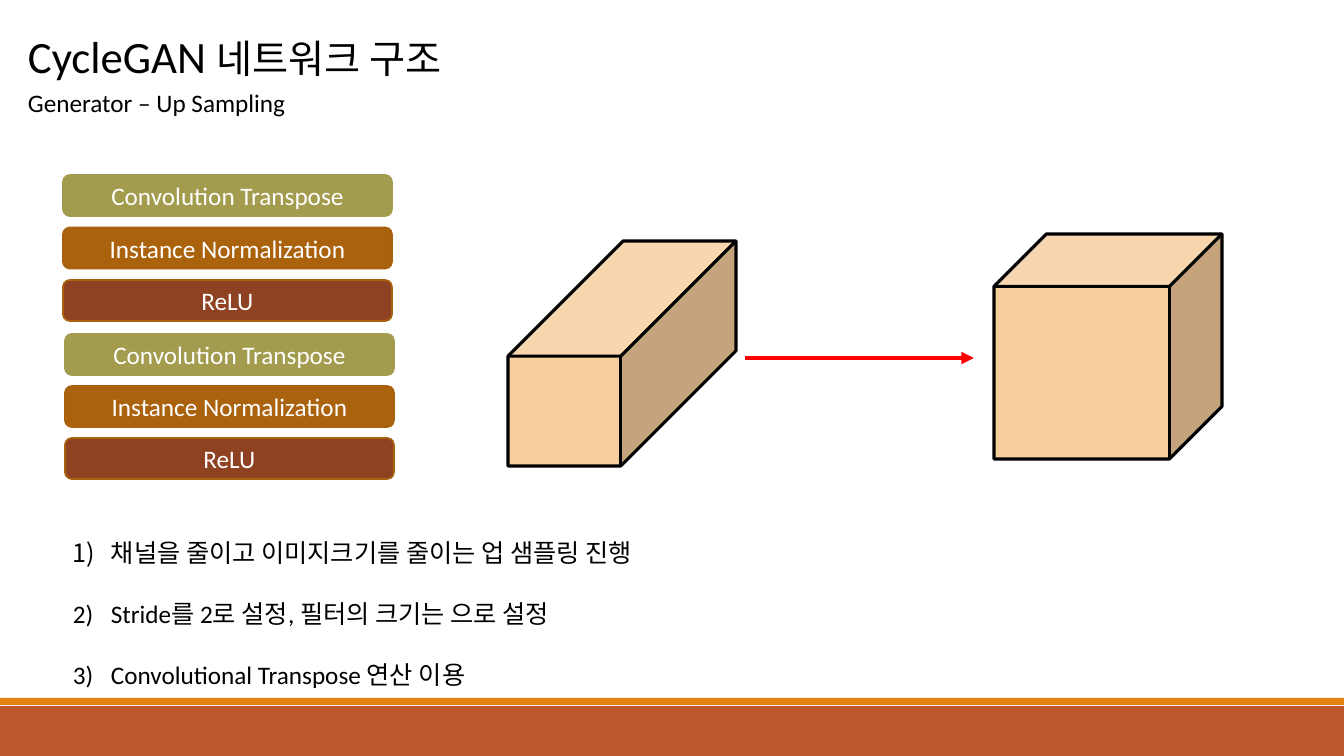
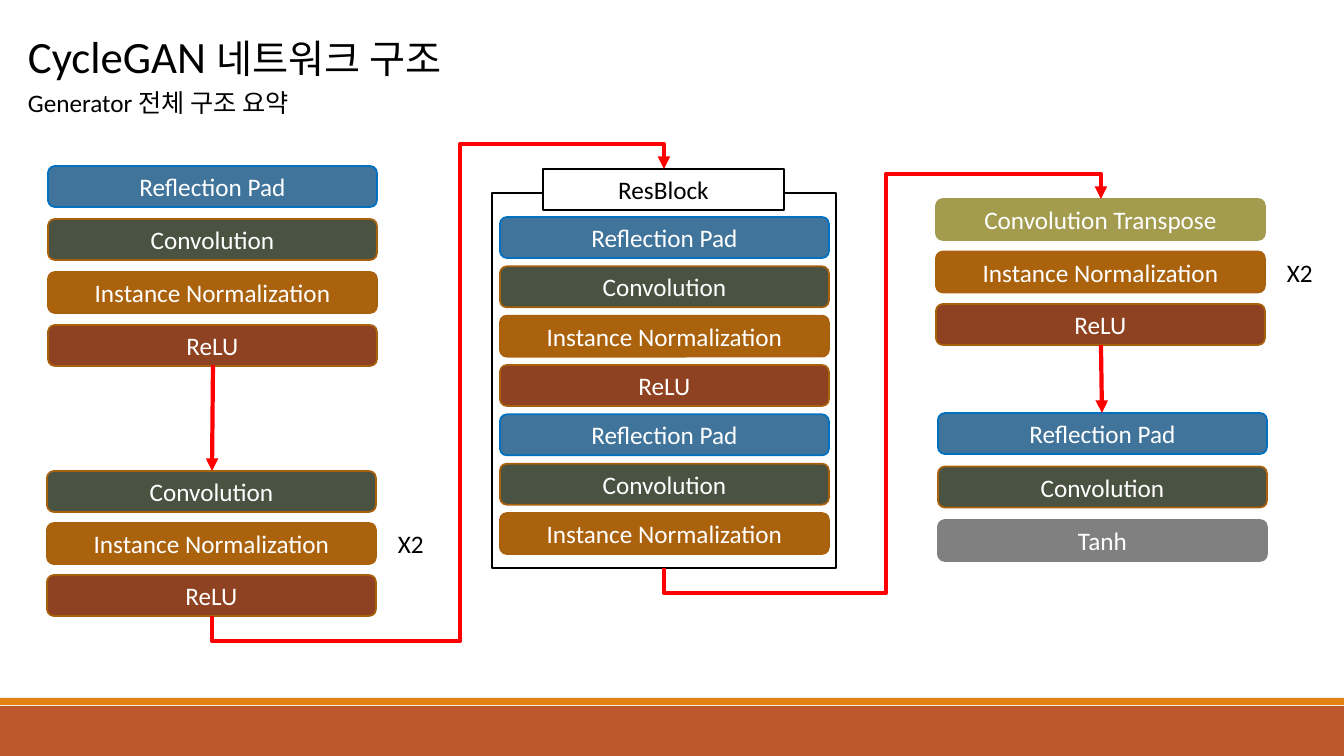
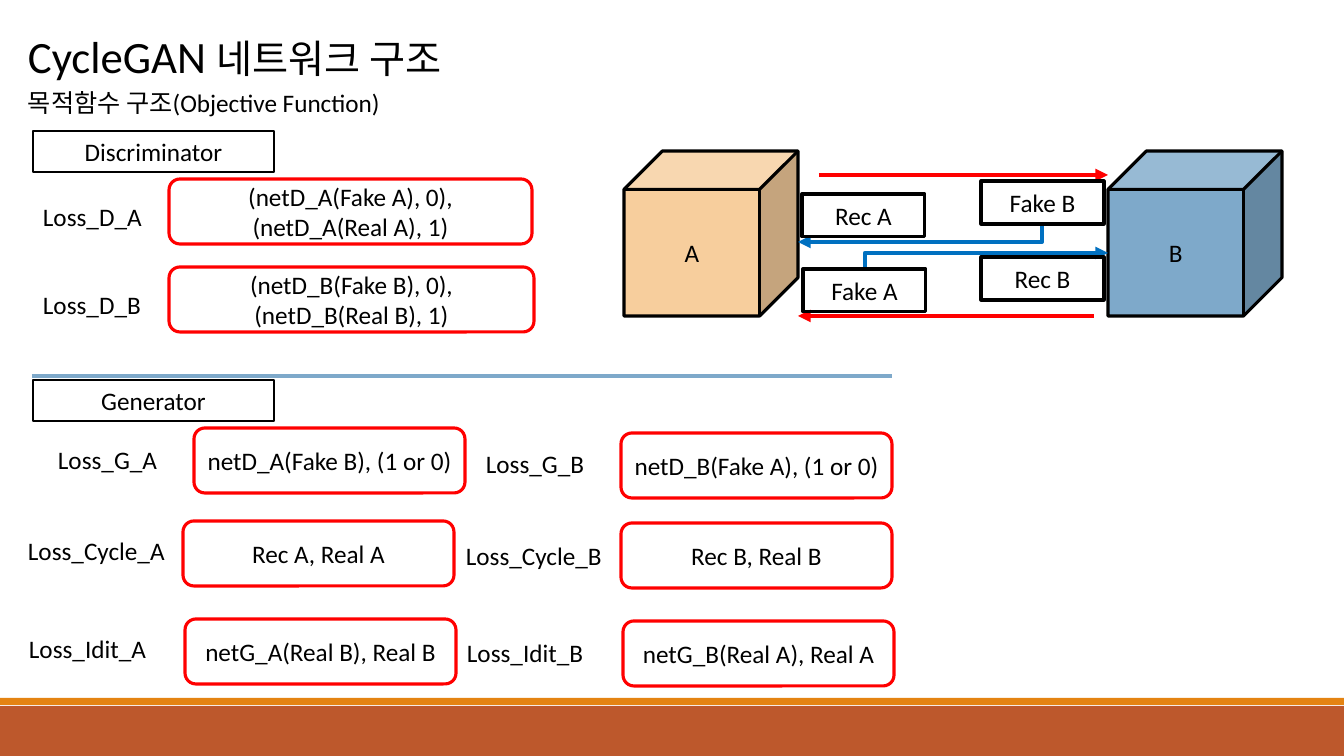
from dataclasses import dataclass

from pptx import Presentation
from pptx.dml.color import RGBColor as RGB
from pptx.enum.shapes import MSO_CONNECTOR as CONN, MSO_SHAPE as SHAPE
from pptx.enum.text import MSO_ANCHOR as ANCHOR, PP_ALIGN as ALIGN
from pptx.oxml.ns import qn
from pptx.oxml.xmlchemy import OxmlElement as Tag
from pptx.util import Emu, Pt


@dataclass(frozen=True)
class Theme:
    font: str = "Calibri"
    head: int = 32
    head_ko: int = 28
    body: int = 18
    black: str = "000000"
    white: str = "FFFFFF"
    band: str = "BD582C"
    stripe: str = "E48312"
    red: str = "FF0000"
    blue: str = "0070C0"
    sand: str = "F7CE9D"
    sky: str = "7EA9CA"
    thin: float = 1.25
    frame: float = 1.5
    bold: float = 2.25
    arrow: float = 3


T = Theme()
WIDE, HIGH = 1344, 756

# Layer kinds: name, fill, outline
UP = ("Convolution Transpose", "A39B4E", "A39B4E")
NORM = ("Instance Normalization", "AB620D", "A9610D")
RELU = ("ReLU", "8E4221", "A9610D")
CONV = ("Convolution", "4A5242", "A9610D")
PAD = ("Reflection Pad", "40749B", "0070C0")
TANH = ("Tanh", "808080", "808080")

# Shared heading and the subtitle of each slide
HEAD = [("CycleGAN ", T.head), ("네트워크 구조", T.head_ko)]
SUBS = ["Generator – Up Sampling", "Generator 전체 구조 요약",
        "목적함수 구조(Objective Function)"]

NOTES = ["채널을 줄이고 이미지크기를 줄이는 업 샘플링 진행",
         "Stride를 2로 설정, 필터의 크기는 으로 설정",
         "Convolutional Transpose 연산 이용"]

# Stacks: left, first top, last top, layers
UP_STACKS = [(63, 175, 280, [UP, NORM, RELU]),
             (65, 334, 438, [UP, NORM, RELU])]
NET_STACKS = [(48, 166, 325, [PAD, CONV, NORM, RELU]),
              (47, 471, 575, [CONV, NORM, RELU]),
              (500, 217, 513, [PAD, CONV, NORM, RELU, PAD, CONV, NORM]),
              (936, 199, 304, [UP, NORM, RELU]),
              (938, 413, 520, [PAD, CONV, TANH])]
TIMES = [(388, 523), (1277, 252)]

# Cubes: left, top, width, height, depth, fill, text
UP_CUBES = [(994, 234, 228, 225, 0.233, T.sand, ""),
            (508, 241, 228, 225, 0.512, T.sand, "")]
AB_CUBES = [(624, 151, 174, 165, 0.233, T.sand, "A"),
            (1108, 151, 174, 165, 0.233, T.sky, "B")]

# Small boxes between the cubes: text, left, top
FAKES = [("Fake B", 981, 181), ("Fake A", 803, 269),
         ("Rec A", 802, 194), ("Rec B", 981, 257)]

# Losses: label, its left and top, formula, its left, top and width
LOSSES = [
    ("Loss_D_A", 33, 196, "(netD_A(Fake A), 0), (netD_A(Real A), 1)", 169, 179, 363),
    ("Loss_D_B", 33, 284, "(netD_B(Fake B), 0), (netD_B(Real B), 1)", 169, 267, 365),
    ("Loss_G_A", 48, 439, "netD_A(Fake B), (1 or 0)", 194, 428, 271),
    ("Loss_G_B", 476, 443, "netD_B(Fake A), (1 or 0)", 621, 433, 271),
    ("Loss_Cycle_A", 18, 530, "Rec A, Real A", 183, 521, 271),
    ("Loss_Cycle_B", 456, 535, "Rec B, Real B", 621, 523, 271),
    ("Loss_Idit_A", 19, 628, "netG_A(Real B), Real B", 185, 619, 271),
    ("Loss_Idit_B", 457, 632, "netG_B(Real A), Real A", 623, 621, 271),
]
PARTS = [("Discriminator", 131), ("Generator", 380)]


def px(n):
    return Emu(round(n * 914400 / 100.8))


def write(shape, paras, size=T.body, color=T.black, align=ALIGN.LEFT,
          anchor=ANCHOR.TOP, number=False, gap=0):
    """Fill a shape with paragraphs; each is a string or (text, size) runs."""
    frame = shape.text_frame
    frame.word_wrap = True
    frame.vertical_anchor = anchor
    for i, runs in enumerate(paras):
        para = frame.add_paragraph() if i else frame.paragraphs[0]
        para.alignment = align
        if i and gap:
            para.space_before = Pt(gap)
        if number:
            props = para._p.get_or_add_pPr()
            props.set("marL", str(px(38)))
            props.set("indent", str(-px(38)))
            mark = Tag("a:buAutoNum")
            mark.set("type", "arabicParenR")
            props.append(mark)
        for text, pt in [(runs, size)] if isinstance(runs, str) else runs:
            run = para.add_run()
            run.text = text
            run.font.name = T.font
            run.font.size = Pt(pt)
            run.font.color.rgb = RGB.from_string(color)


def label(slide, paras, x, y, w, h=40, **form):
    write(slide.shapes.add_textbox(px(x), px(y), px(w), px(h)), paras, **form)


def box(slide, kind, x, y, w, h, fill=None, line=None, width=T.thin,
        text="", color=T.black, depth=None):
    shape = slide.shapes.add_shape(kind, px(x), px(y), px(w), px(h))
    shape.shadow.inherit = False
    if fill:
        shape.fill.solid()
        shape.fill.fore_color.rgb = RGB.from_string(fill)
    else:
        shape.fill.background()
    if line:
        shape.line.color.rgb = RGB.from_string(line)
        shape.line.width = Pt(width)
    else:
        shape.line.fill.background()
    if depth:
        shape.adjustments[0] = depth
    if text:
        write(shape, [text], color=color, align=ALIGN.CENTER, anchor=ANCHOR.MIDDLE)


def link(slide, x1, y1, x2, y2, color=T.red, head=True, kind=CONN.STRAIGHT):
    wire = slide.shapes.add_connector(kind, px(x1), px(y1), px(x2), px(y2))
    wire.line.color.rgb = RGB.from_string(color)
    wire.line.width = Pt(T.arrow)
    props = wire.element.spPr
    if head:
        tip = Tag("a:tailEnd")
        tip.set("type", "triangle")
        props.find(qn("a:ln")).append(tip)
    props.append(Tag("a:effectLst"))
    return wire


def bend(slide, x1, y1, x2, y2, color=T.red, mid=None, stub=25):
    """Elbow that leaves vertically; with mid it turns back along x = mid."""
    wire = link(slide, x1, y1, x2, y2, color, kind=CONN.ELBOW)
    w, h = abs(y2 - y1), abs(x2 - x1)
    wire.left, wire.top = px((x1 + x2 - w) / 2), px((y1 + y2 - h) / 2)
    wire.width, wire.height = px(w), px(h)
    frame = wire.element.spPr.find(qn("a:xfrm"))
    frame.set("rot", "5400000")
    frame.set("flipH", str(int(y2 < y1)))
    frame.set("flipV", str(int(x2 > x1)))
    shape = wire.element.spPr.find(qn("a:prstGeom"))
    shape.set("prst", "bentConnector5" if mid else "bentConnector2")
    if mid:
        guides = shape.find(qn("a:avLst"))
        if guides is None:
            guides = Tag("a:avLst")
            shape.append(guides)
        shares = (-stub / w, abs(mid - x1) / h, 1 + stub / w)
        for i, share in enumerate(shares, 1):
            guide = Tag("a:gd")
            guide.set("name", f"adj{i}")
            guide.set("fmla", f"val {round(share * 100000)}")
            guides.append(guide)


def stack(slide, x, top, last, layers):
    step = (last - top) / (len(layers) - 1)
    for i, (name, fill, line) in enumerate(layers):
        box(slide, SHAPE.ROUNDED_RECTANGLE, x, top + i * step, 329, 41,
            fill, line, text=name, color=T.white)


def cube(slide, x, y, w, h, depth, fill, text):
    box(slide, SHAPE.CUBE, x, y, w, h, fill, T.black, T.bold, text, depth=depth)


def plate(slide, text, x, y):
    box(slide, SHAPE.RECTANGLE, x, y, 241, 41, T.white, T.black, T.frame, text)


def start(deck, sub):
    slide = deck.slides.add_slide(deck.slide_layouts[6])
    box(slide, SHAPE.RECTANGLE, 0, 706, WIDE, 50, T.band)
    box(slide, SHAPE.RECTANGLE, 0, 698, WIDE, 7, T.stripe)
    label(slide, [HEAD], 18, 24, 843, 65)
    label(slide, [sub], 18, 82, 673)
    return slide


def upsample(slide):
    for item in UP_STACKS:
        stack(slide, *item)
    for item in UP_CUBES:
        cube(slide, *item)
    link(slide, 745, 358, 974, 358)
    label(slide, NOTES, 63, 532, 1217, 163, number=True, gap=22)


def network(slide):
    box(slide, SHAPE.RECTANGLE, 492, 193, 344, 375, None, T.black, T.frame)
    plate(slide, "ResBlock", 543, 169)
    for item in NET_STACKS:
        stack(slide, *item)
    for x, y in TIMES:
        label(slide, ["X2"], x, y, 58)
    # Flow from stack to stack
    link(slide, 213, 365, 212, 471)
    bend(slide, 212, 616, 664, 169, mid=460)
    bend(slide, 664, 568, 1101, 199, mid=886)
    link(slide, 1101, 345, 1102, 413)


def losses(slide):
    # Cycle between A and B
    link(slide, 819, 175, 1108, 175)
    for item in AB_CUBES:
        cube(slide, *item)
    link(slide, 1094, 316, 798, 316)
    bend(slide, 1042, 225, 798, 242, T.blue)
    bend(slide, 865, 269, 1108, 253, T.blue)
    for text, x, y in FAKES:
        box(slide, SHAPE.RECTANGLE, x, y, 123, 43, None, T.black, T.bold, text)
    # Loss terms
    link(slide, 32, 376, 892, 376, T.sky, head=False)
    for name, lx, ly, text, x, y, w in LOSSES:
        label(slide, [name], lx, ly, 164)
        box(slide, SHAPE.ROUNDED_RECTANGLE, x, y, w, 65, None, T.red, T.bold, text)
    for text, y in PARTS:
        plate(slide, text, 33, y)


def main():
    deck = Presentation()
    deck.slide_width, deck.slide_height = px(WIDE), px(HIGH)
    for sub, fill in zip(SUBS, (upsample, network, losses)):
        fill(start(deck, sub))
    deck.save("out.pptx")


if __name__ == "__main__":
    main()
